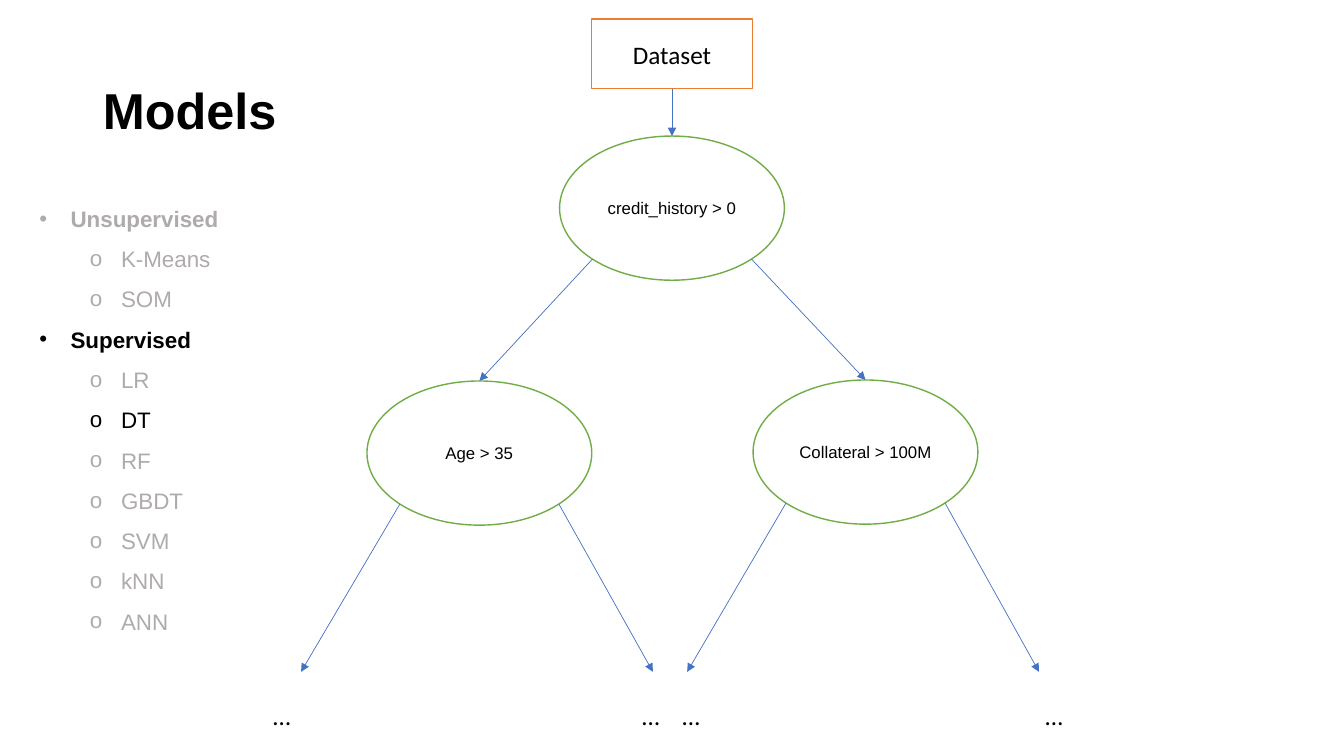
from math import sqrt

from lxml import etree
from pptx import Presentation
from pptx import util as u
from pptx.dml.color import RGBColor
from pptx.enum import shapes, text
from pptx.oxml import ns

BLACK = RGBColor(0x00, 0x00, 0x00)
WHITE = RGBColor(0xFF, 0xFF, 0xFF)
MUTED = RGBColor(0xAF, 0xAB, 0xAB)
GREEN = RGBColor(0x70, 0xAD, 0x47)
ORANGE = RGBColor(0xED, 0x7D, 0x31)
BLUE = RGBColor(0x44, 0x72, 0xC4)

WIDTH, HEIGHT = u.Inches(13.33), u.Inches(7.5)

# Every position and size below is a percentage of the slide
NODE_W, NODE_H = 16.73, 19.07
DIAGONAL = sqrt(0.5) / 2  # where a 45° ray leaves an ellipse
ROOT, AGE, COLLATERAL = (50, 27.53), (35.67, 59.93), (64.4, 59.8)
LEAF_TIP_Y, LEAF_Y = 88.87, 92

# Model name, list level, highlighted
MODELS = [
    ("Unsupervised", 0, False),
    ("K-Means", 1, False),
    ("SOM", 1, False),
    ("Supervised", 0, True),
    ("LR", 1, False),
    ("DT", 1, True),
    ("RF", 1, False),
    ("GBDT", 1, False),
    ("SVM", 1, False),
    ("kNN", 1, False),
    ("ANN", 1, False),
]


def x(share):
    return u.Emu(round(WIDTH * share / 100))


def y(share):
    return u.Emu(round(HEIGHT * share / 100))


def place(holder, left, top, width, height):
    holder.left, holder.top = x(left), y(top)
    holder.width, holder.height = x(width), y(height)


def style(paragraph, size, face="Arial", color=BLACK, bold=False):
    for run in paragraph.runs:
        run.font.size = u.Pt(size)
        run.font.name = face
        run.font.bold = bold
        run.font.color.rgb = color


def set_bullet(paragraph, char, margin):
    props = paragraph._p.get_or_add_pPr()
    props.set("marL", str(u.Inches(margin)))
    props.set("indent", str(u.Inches(-0.31)))
    etree.SubElement(props, ns.qn("a:buFont"), typeface="Arial")
    etree.SubElement(props, ns.qn("a:buChar"), char=char)


def write_title(title):
    place(title, 6.9, 5.33, 86.27, 19.33)
    frame = title.text_frame
    frame.text = "Models"
    frame.auto_size = text.MSO_AUTO_SIZE.NONE
    frame.vertical_anchor = text.MSO_ANCHOR.MIDDLE
    heading = frame.paragraphs[0]
    heading.alignment = text.PP_ALIGN.LEFT
    heading.line_spacing = 0.9
    style(heading, 36, bold=True)


def write_models(body):
    place(body, 2.18, 24.67, 23.86, 60.13)
    frame = body.text_frame
    frame.text = "\n".join(name for name, _, _ in MODELS)
    frame.auto_size = text.MSO_AUTO_SIZE.NONE
    for item, (_, level, active) in zip(frame.paragraphs, MODELS):
        item.level = level
        item.line_spacing = 1.5
        item.space_before = item.space_after = u.Pt(0)
        set_bullet(item, "•o"[level], 0.31 + 0.5 * level)
        style(item, 16, color=BLACK if active else MUTED, bold=level == 0)


def add_box(slide, kind, center, size, label, outline, points, face):
    (cx, cy), (width, height) = center, size
    box = slide.shapes.add_shape(kind, x(cx - width / 2), y(cy - height / 2),
                                 x(width), y(height))
    box.shadow.inherit = False
    box.fill.solid()
    box.fill.fore_color.rgb = WHITE
    box.line.color.rgb = outline
    box.line.width = u.Pt(1)
    frame = box.text_frame
    frame.text = label
    frame.word_wrap = True
    frame.vertical_anchor = text.MSO_ANCHOR.MIDDLE
    frame.paragraphs[0].alignment = text.PP_ALIGN.CENTER
    style(frame.paragraphs[0], points, face)


def add_node(slide, center, label):
    add_box(slide, shapes.MSO_SHAPE.OVAL, center, (NODE_W, NODE_H),
            label, GREEN, 12, "Arial")


def add_arrow(slide, start, end):
    arrow = slide.shapes.add_connector(shapes.MSO_CONNECTOR.STRAIGHT,
                                       x(start[0]), y(start[1]), x(end[0]), y(end[1]))
    arrow.line.color.rgb = BLUE
    arrow.line.width = u.Pt(0.5)
    etree.SubElement(arrow.line._get_or_add_ln(), ns.qn("a:tailEnd"), type="triangle")
    etree.SubElement(arrow._element.spPr, ns.qn("a:effectLst"))


def add_branches(slide, node, left_end, right_end):
    cx, cy = node
    for side, end in ((-1, left_end), (1, right_end)):
        add_arrow(slide, (cx + side * NODE_W * DIAGONAL, cy + NODE_H * DIAGONAL), end)


def add_leaf(slide, left):
    leaf = slide.shapes.add_textbox(x(left), y(LEAF_Y), x(2.85), y(5.33))
    leaf.text_frame.text = "…"
    leaf.text_frame.word_wrap = False
    style(leaf.text_frame.paragraphs[0], 18, "Calibri")


def node_top(node):
    return node[0], node[1] - NODE_H / 2


def main():
    deck = Presentation()
    deck.slide_width, deck.slide_height = WIDTH, HEIGHT
    slide = deck.slides.add_slide(deck.slide_layouts[1])

    # Title and list of models
    write_title(slide.shapes.title)
    write_models(slide.placeholders[1])

    # Decision tree: dataset, then questions
    add_box(slide, shapes.MSO_SHAPE.RECTANGLE, (50, 7.13), (12, 9.2),
            "Dataset", ORANGE, 18, "Calibri")
    add_node(slide, ROOT, "credit_history > 0")
    add_node(slide, AGE, "Age > 35")
    add_node(slide, COLLATERAL, "Collateral > 100M")

    # Arrows between the levels
    add_arrow(slide, (50, 11.73), node_top(ROOT))
    add_branches(slide, ROOT, node_top(AGE), node_top(COLLATERAL))
    for node in (AGE, COLLATERAL):
        add_branches(slide, node, (node[0] - 13.27, LEAF_TIP_Y),
                     (node[0] + 12.91, LEAF_TIP_Y))

    # Open ends of the tree
    for left in (19.58, 47.04, 50.04, 77.04):
        add_leaf(slide, left)

    deck.save("out.pptx")


if __name__ == "__main__":
    main()
